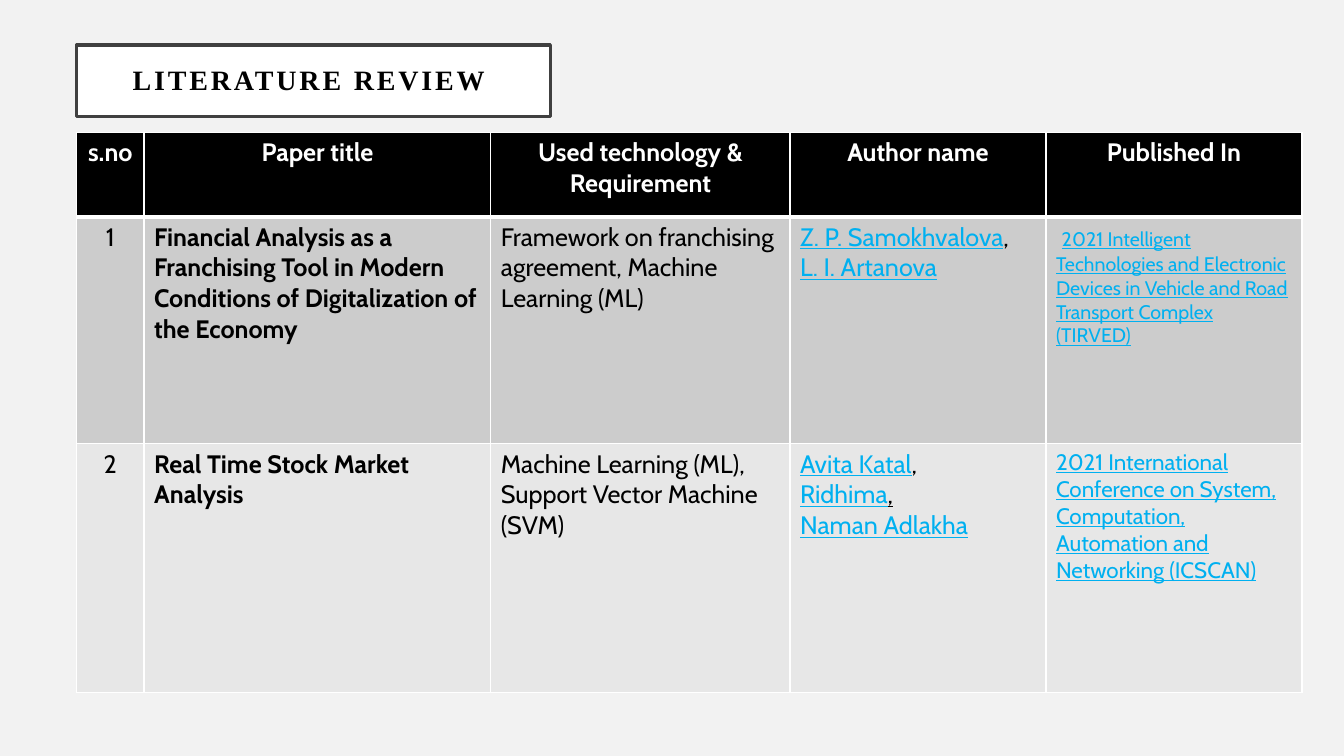
from dataclasses import dataclass

from lxml import etree
from pptx import Presentation
from pptx.dml.color import RGBColor
from pptx.enum.text import MSO_ANCHOR, MSO_AUTO_SIZE, PP_ALIGN
from pptx.oxml.ns import qn
from pptx.util import Cm, Pt

LEFT, CENTER = PP_ALIGN.LEFT, PP_ALIGN.CENTER
MIDDLE = MSO_ANCHOR.MIDDLE
NO_AUTOFIT = MSO_AUTO_SIZE.NONE
TITLE_ONLY = 5


@dataclass(frozen=True)
class Theme:
    background: str = "F2F2F2"
    white: str = "FFFFFF"
    ink: str = "000000"
    frame: str = "404040"
    link: str = "00B0F0"
    bands: tuple[str, ...] = ("CCCCCC", "E7E7E7")
    title_font: str = "Times New Roman"
    body_font: str = "Cabin"
    title_size: int = 20
    body_size: int = 18


THEME = Theme()


@dataclass(frozen=True)
class Span:
    text: str
    linked: bool = False
    underline: bool = False
    bold: bool = False
    size: int = THEME.body_size


Lines = list[list[Span]]


@dataclass(frozen=True)
class Paper:
    number: str
    title: str
    technology: list[str]
    authors: Lines
    venue: list[Span]


HEADINGS = ["s.no", "Paper title", "Used technology & Requirement",
            "Author name", "Published In"]
PAPERS = [
    Paper(
        "1",
        "Financial Analysis as a Franchising Tool in Modern Conditions "
        "of Digitalization of the Economy",
        ["Framework on franchising agreement, Machine Learning (ML)"],
        [[Span("Z. P. Samokhvalova", linked=True), Span(",")],
         [Span("L. I. Artanova", linked=True)]],
        [Span(" ", bold=True),
         Span("2021 Intelligent Technologies and Electronic Devices in Vehicle "
              "and Road Transport Complex (TIRVED)", linked=True, size=14)],
    ),
    Paper(
        "2",
        "Real Time Stock Market Analysis",
        ["Machine Learning (ML),", "Support Vector Machine (SVM) "],
        [[Span("Avita Katal", linked=True), Span(",")],
         [Span("Ridhima", linked=True), Span(",", underline=True)],
         [Span("Naman Adlakha", linked=True)]],
        [Span("2021 International Conference on System, Computation, Automation "
              "and Networking (ICSCAN)", linked=True, size=16)],
    ),
]
COLUMN_WIDTHS = [1.70, 8.74, 7.54, 6.45, 6.45]
ROW_HEIGHTS = [2.13, 5.72, 6.27]


def write_text(frame, lines: Lines, *, color: str = THEME.ink,
               font: str = THEME.body_font, align=LEFT,
               line_spacing: float = 1.0, tracking: int = 0) -> None:
    """Fill a text frame with one paragraph for each line of spans."""
    for index, line in enumerate(lines):
        paragraph = frame.paragraphs[0] if index == 0 else frame.add_paragraph()
        paragraph.alignment = align
        paragraph.line_spacing = line_spacing
        for span in line:
            run = paragraph.add_run()
            run.text = span.text
            run.font.name = font
            run.font.size = Pt(span.size)
            run.font.bold = span.bold
            run.font.underline = span.linked or span.underline
            run.font.color.rgb = RGBColor.from_string(
                THEME.link if span.linked else color)
            if tracking:
                run.font._element.set("spc", str(tracking * 100))


def set_borders(cell, *, top: int = 1, bottom: int = 1) -> None:
    properties = cell._tc.get_or_add_tcPr()
    for side, width in {"L": 1, "R": 1, "T": top, "B": bottom}.items():
        line = etree.SubElement(properties, qn(f"a:ln{side}"), w=str(Pt(width)))
        fill = etree.SubElement(line, qn("a:solidFill"))
        etree.SubElement(fill, qn("a:srgbClr"), val=THEME.white)


def paint(fill, color: str) -> None:
    fill.solid()
    fill.fore_color.rgb = RGBColor.from_string(color)


def add_title(slide) -> None:
    title = slide.shapes.title
    title.left, title.top = Cm(1.93), Cm(1.14)
    title.width, title.height = Cm(11.94), Cm(1.8)
    paint(title.fill, THEME.white)
    paint(title.line.fill, THEME.frame)
    title.line.width = Pt(2.5)
    frame = title.text_frame
    frame.auto_size = NO_AUTOFIT
    frame.word_wrap = True
    frame.vertical_anchor = MIDDLE
    frame.margin_left = frame.margin_right = Cm(0.5)
    frame.margin_top = frame.margin_bottom = Cm(0.5)
    heading = Span("LITERATURE REVIEW ", bold=True, size=THEME.title_size)
    write_text(frame, [[heading]], font=THEME.title_font, align=CENTER,
               line_spacing=0.9, tracking=2)


def paper_cells(paper: Paper) -> list[Lines]:
    return [
        [[Span(paper.number)]],
        [[Span(paper.title, bold=True)]],
        [[Span(text)] for text in paper.technology],
        paper.authors,
        [paper.venue],
    ]


def add_review_table(slide) -> None:
    table = slide.shapes.add_table(
        len(ROW_HEIGHTS), len(COLUMN_WIDTHS), Cm(1.93), Cm(3.33),
        Cm(sum(COLUMN_WIDTHS)), Cm(sum(ROW_HEIGHTS))).table
    table.horz_banding = False
    for column, width in zip(table.columns, COLUMN_WIDTHS):
        column.width = Cm(width)
    for row, height in zip(table.rows, ROW_HEIGHTS):
        row.height = Cm(height)

    # Header row
    for column, heading in enumerate(HEADINGS):
        cell = table.cell(0, column)
        set_borders(cell, bottom=3)
        paint(cell.fill, THEME.ink)
        write_text(cell.text_frame, [[Span(heading, bold=True)]],
                   color=THEME.white, align=CENTER)

    # One row for each paper
    for row, (paper, band) in enumerate(zip(PAPERS, THEME.bands), start=1):
        for column, lines in enumerate(paper_cells(paper)):
            cell = table.cell(row, column)
            set_borders(cell, top=3 if row == 1 else 1)
            paint(cell.fill, band)
            write_text(cell.text_frame, lines,
                       align=CENTER if column == 0 else LEFT)


def main() -> None:
    deck = Presentation()
    deck.slide_width, deck.slide_height = Cm(33.87), Cm(19.05)
    slide = deck.slides.add_slide(deck.slide_layouts[TITLE_ONLY])
    paint(slide.background.fill, THEME.background)
    add_title(slide)
    add_review_table(slide)
    deck.save("out.pptx")


if __name__ == "__main__":
    main()
